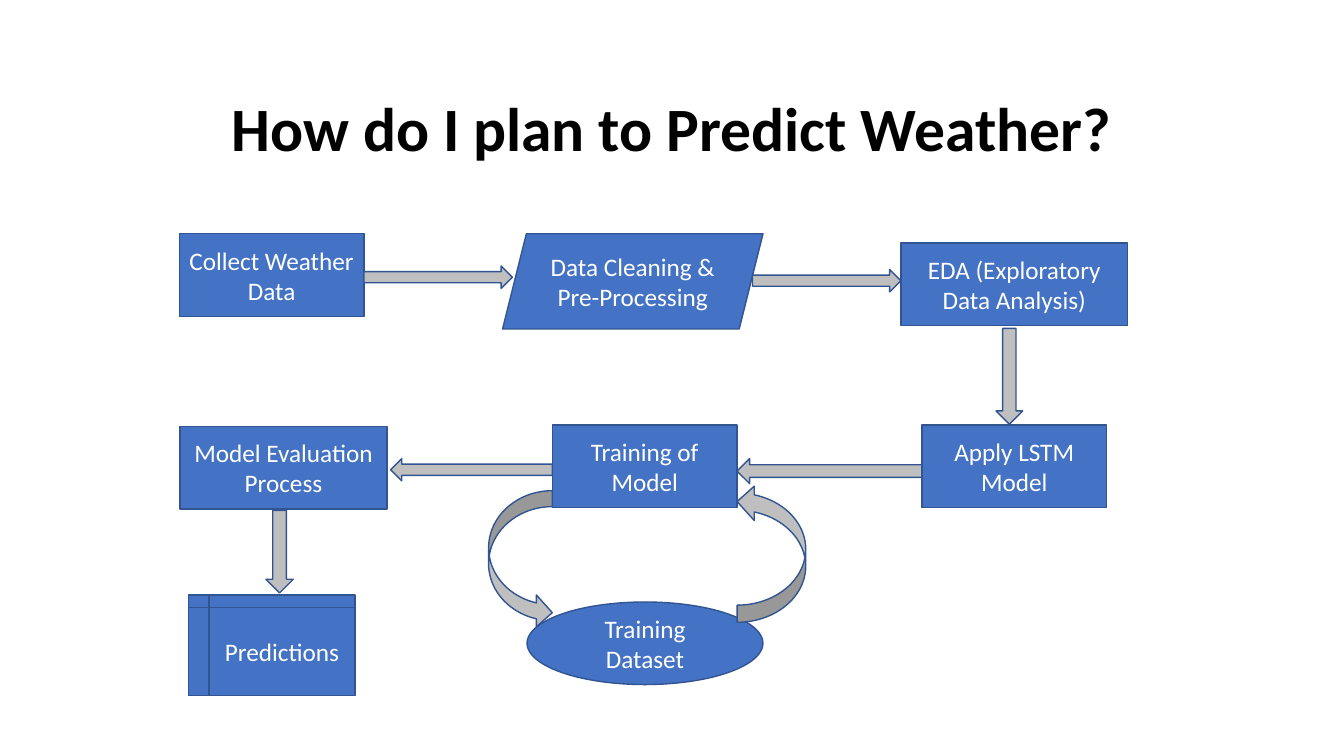
from pptx import Presentation
from pptx.dml.color import RGBColor
from pptx.enum.shapes import MSO_SHAPE
from pptx.enum.text import MSO_ANCHOR, MSO_AUTO_SIZE, PP_ALIGN
from pptx.util import Pt

BLUE, OUTLINE, GREY = "4472C4", "325491", "BFBFBF"
BOX_HEIGHT = 59
BOX_WIDTH = 132

# Kind, text, left, top, width, height
STEPS = [
    (MSO_SHAPE.RECTANGLE, "Collect Weather Data", 128, 167, BOX_WIDTH, BOX_HEIGHT),
    (MSO_SHAPE.RECTANGLE, "Apply LSTM Model", 658.5, 303.5, BOX_WIDTH, BOX_HEIGHT),
    (MSO_SHAPE.RECTANGLE, "EDA (Exploratory Data Analysis)", 643.5, 173.5, 162, BOX_HEIGHT),
    (MSO_SHAPE.PARALLELOGRAM, "Data Cleaning &\nPre-Processing", 359, 167, 186, 68),
    (MSO_SHAPE.OVAL, "Training Dataset", 376.5, 430, 168.5, BOX_HEIGHT),
    (MSO_SHAPE.FLOWCHART_INTERNAL_STORAGE, "Predictions", 134.5, 425, 119, 72),
    (MSO_SHAPE.RECTANGLE, "Training of Model", 394.5, 303.5, BOX_WIDTH, BOX_HEIGHT),
    (MSO_SHAPE.RECTANGLE, "Model Evaluation Process", 128.5, 304.5, 148, BOX_HEIGHT),
]

# Kind, left, top, width, height, rotation, flipped
ARROWS = [
    (MSO_SHAPE.RIGHT_ARROW, 260, 190, 106, 16, 0, False),
    (MSO_SHAPE.RIGHT_ARROW, 537.5, 192.5, 106, 16, 0, False),
    (MSO_SHAPE.DOWN_ARROW, 711.5, 234.5, 19, 68.5, 0, False),
    (MSO_SHAPE.CURVED_RIGHT_ARROW, 349, 350.5, 45.5, 98.5, 0, False),
    (MSO_SHAPE.CURVED_LEFT_ARROW, 526.5, 346, 49, 98.5, 180, True),
    (MSO_SHAPE.RIGHT_ARROW, 526.5, 327.5, 132, 18, 180, False),
    (MSO_SHAPE.RIGHT_ARROW, 279, 327.5, 115.5, 16, 180, False),
    (MSO_SHAPE.DOWN_ARROW, 190, 364.5, 19.5, 59, 0, False),
]


def color(hex_value):
    return RGBColor.from_string(hex_value)


def write(frame, text, size=18, ink="FFFFFF", bold=False,
          anchor=MSO_ANCHOR.MIDDLE, line_spacing=1.0):
    frame.word_wrap = True
    frame.auto_size = MSO_AUTO_SIZE.NONE
    frame.vertical_anchor = anchor
    frame.text = text
    for paragraph in frame.paragraphs:
        paragraph.alignment = PP_ALIGN.CENTER
        paragraph.line_spacing = line_spacing
        font = paragraph.font
        font.name, font.size, font.bold = "Calibri", Pt(size), bold
        font.color.rgb = color(ink)


def add_title(slide, text):
    title = slide.shapes.title
    title.left, title.top, title.width, title.height = Pt(120), Pt(62), Pt(720), Pt(59)
    write(title.text_frame, text, size=44, ink="000000", bold=True,
          anchor=MSO_ANCHOR.BOTTOM, line_spacing=0.9)


def add_outlined(slide, kind, bounds, fill):
    shape = slide.shapes.add_shape(kind, *map(Pt, bounds))
    shape.shadow.inherit = False
    shape.fill.solid()
    shape.fill.fore_color.rgb = color(fill)
    shape.line.color.rgb = color(OUTLINE)
    shape.line.width = Pt(1)
    return shape


def add_step(slide, kind, text, *bounds):
    step = add_outlined(slide, kind, bounds, BLUE)
    write(step.text_frame, text)


def add_arrow(slide, kind, left, top, width, height, rotation, flipped):
    arrow = add_outlined(slide, kind, (left, top, width, height), GREY)
    arrow.rotation = rotation
    if flipped:
        arrow.element.spPr.xfrm.set("flipH", "1")


def main():
    deck = Presentation()
    deck.slide_width, deck.slide_height = Pt(960), Pt(540)
    slide = deck.slides.add_slide(deck.slide_layouts[5])
    add_title(slide, "How do I plan to Predict Weather?")
    for step in STEPS:
        add_step(slide, *step)
    for arrow in ARROWS:
        add_arrow(slide, *arrow)
    deck.save("out.pptx")


if __name__ == "__main__":
    main()
